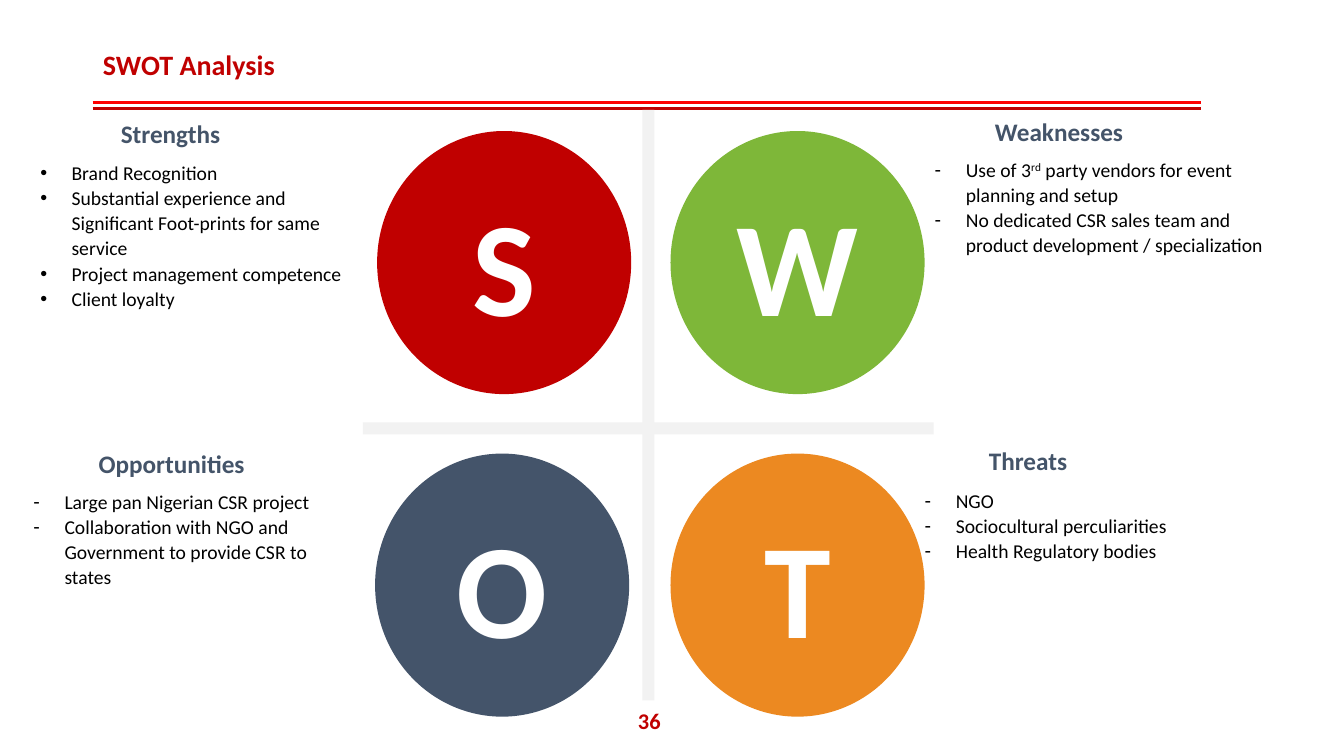
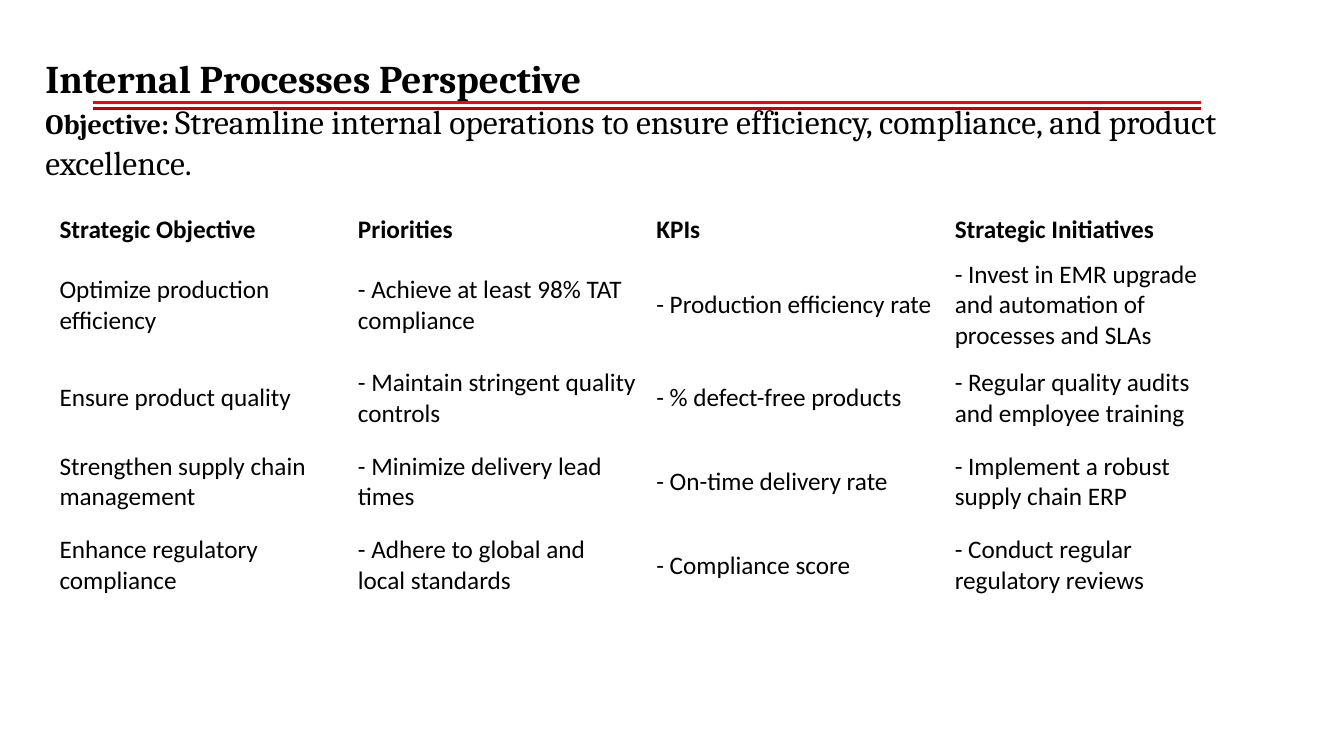
"""Build a SWOT slide and an internal processes slide."""
import pptx
import pptx.util
import pptx.dml.color
import pptx.enum.shapes
import pptx.enum.text
import pptx.oxml.ns
from lxml import etree

Inches, Pt = pptx.util.Inches, pptx.util.Pt
ANCHOR = pptx.enum.text.MSO_ANCHOR
ALIGN = pptx.enum.text.PP_ALIGN
SHAPE = pptx.enum.shapes.MSO_SHAPE
qn = pptx.oxml.ns.qn

COLORS = {"bright": "FF0000", "red": "C00000", "green": "7EB739", "slate": "44546A",
          "orange": "EC8921", "heading": "445469", "bar": "F2F2F2",
          "black": "000000", "white": "FFFFFF"}
RULES = [(1.02, "bright"), (1.08, "red")]
RULE_LEFT, RULE_RIGHT = 0.92, 11.91

SWOT_TITLE, PAGE_NUMBER = "SWOT Analysis", "36"
CIRCLE_W, CIRCLE_H = 2.52, 2.61
BARS = [(6.37, 1.09, 0.12, 5.86), (3.6, 4.19, 5.66, 0.12)]
QUADRANTS = [
    {"name": "Strengths", "color": "red", "circle": (3.74, 1.3),
     "heading": (1.1, 1.12), "box": (0.3, 1.53, 3.25, 2.18), "bullet": "•",
     "items": ["Brand Recognition",
               "Substantial experience and Significant Foot-prints for same service",
               "Project management competence", "Client loyalty"]},
    {"name": "Weaknesses", "color": "green", "circle": (6.65, 1.3),
     "heading": (9.77, 1.11), "box": (9.17, 1.5, 3.76, 2.28), "bullet": "-",
     "items": [("Use of 3", "rd", " party vendors for event planning and setup"),
               "No dedicated CSR sales team and product development / specialization"]},
    {"name": "Opportunities", "color": "slate", "circle": (3.72, 4.5),
     "heading": (0.88, 4.4), "box": (0.23, 4.79, 3.39, 1.71), "bullet": "-",
     "items": ["Large pan Nigerian CSR project",
               "Collaboration with NGO and Government to provide CSR to states"]},
    {"name": "Threats", "color": "orange", "circle": (6.65, 4.5),
     "heading": (9.71, 4.37), "box": (9.07, 4.78, 4.17, 1.78), "bullet": "-",
     "items": ["NGO", "Sociocultural perculiarities", "Health Regulatory bodies"]},
]

PROCESS_TITLE = "Internal Processes Perspective"
OBJECTIVE = ("Objective: ", "Streamline internal operations to ensure efficiency, "
             "compliance, and product excellence.")
TABLE = [
    ("Strategic Objective", "Priorities", "KPIs", "Strategic Initiatives"),
    ("Optimize production efficiency", "- Achieve at least 98% TAT compliance",
     "- Production efficiency rate",
     "- Invest in EMR upgrade and automation of processes and SLAs"),
    ("Ensure product quality", "- Maintain stringent quality controls",
     "- % defect-free products", "- Regular quality audits and employee training"),
    ("Strengthen supply chain management", "- Minimize delivery lead times",
     "- On-time delivery rate", "- Implement a robust supply chain ERP"),
    ("Enhance regulatory compliance", "- Adhere to global and local standards",
     "- Compliance score", "- Conduct regular regulatory reviews"),
]
HEADER_H, ROW_H, COL_W = 0.47, 0.83, 2.96


def rgb(name):
    return pptx.dml.color.RGBColor.from_string(COLORS[name])


def style(r, size, color="black", bold=False, font="Calibri"):
    r.font.size, r.font.bold, r.font.name = Pt(size), bold, font
    r.font.color.rgb = rgb(color)


def add_run(p, text, size, **look):
    r = p.add_run()
    r.text = text
    style(r, size, **look)
    return r


def place(sp, left, top, width, height):
    sp.left, sp.top = Inches(left), Inches(top)
    sp.width, sp.height = Inches(width), Inches(height)


def prepare(sp, anchor):
    tf = sp.text_frame
    tf.word_wrap = True
    tf.auto_size = pptx.enum.text.MSO_AUTO_SIZE.NONE
    tf.vertical_anchor = anchor
    return tf


def add_slide(prs, layout, title_box):
    slide = prs.slides.add_slide(prs.slide_layouts.get_by_name(layout))
    for y, color in RULES:
        rule = slide.shapes.add_connector(
            pptx.enum.shapes.MSO_CONNECTOR.STRAIGHT,
            Inches(RULE_LEFT), Inches(y), Inches(RULE_RIGHT), Inches(y))
        rule.line.color.rgb = rgb(color)
        rule.line.width = Pt(2.25)
        etree.SubElement(rule._element.spPr, qn("a:effectLst"))
    title = slide.shapes.title
    place(title, *title_box)
    tf = prepare(title, ANCHOR.MIDDLE)
    tf.paragraphs[0].alignment = ALIGN.LEFT
    return slide, tf


def add_filled(slide, kind, box, color):
    sp = slide.shapes.add_shape(kind, *map(Inches, box))
    sp.shadow.inherit = False
    sp.fill.solid()
    sp.fill.fore_color.rgb = rgb(color)
    sp.line.fill.background()
    return sp


def add_label(slide, box, text, size, color, anchor=ANCHOR.TOP, align=ALIGN.LEFT):
    tf = prepare(slide.shapes.add_textbox(*map(Inches, box)), anchor)
    p = tf.paragraphs[0]
    p.alignment = align
    add_run(p, text, size, color=color, bold=True)


def add_circle(slide, quadrant):
    box = (*quadrant["circle"], CIRCLE_W, CIRCLE_H)
    tf = prepare(add_filled(slide, SHAPE.OVAL, box, quadrant["color"]), ANCHOR.MIDDLE)
    tf.margin_left = tf.margin_right = tf.margin_top = tf.margin_bottom = 0
    p = tf.paragraphs[0]
    p.alignment = ALIGN.CENTER
    add_run(p, quadrant["name"][0], 96, color="white", bold=True)


def fill_list(sp, quadrant):
    place(sp, *quadrant["box"])
    tf = prepare(sp, ANCHOR.TOP)
    for i, item in enumerate(quadrant["items"]):
        p = tf.add_paragraph() if i else tf.paragraphs[0]
        p.alignment, p.line_spacing = ALIGN.LEFT, 1.07
        p.space_before = p.space_after = Pt(0)
        pPr = p._p.get_or_add_pPr()
        pPr.set("marL", str(Inches(0.31)))
        pPr.set("indent", str(-Inches(0.31)))
        etree.SubElement(pPr, qn("a:buFont")).set("typeface", "Arial")
        etree.SubElement(pPr, qn("a:buChar")).set("char", quadrant["bullet"])
        parts = (item,) if isinstance(item, str) else item
        for j, part in enumerate(parts):
            r = add_run(p, part, 14)
            if j == 1:
                r._r.get_or_add_rPr().set("baseline", "30000")


def build_swot(prs):
    slide, tf = add_slide(prs, "Comparison", (0.92, 0.35, 11, 0.62))
    tf.paragraphs[0].line_spacing = 0.9
    add_run(tf.paragraphs[0], SWOT_TITLE, 20, color="red", bold=True)
    add_label(slide, (6.1, 6.95, 0.68, 0.4), PAGE_NUMBER, 16, "red",
              ANCHOR.MIDDLE, ALIGN.CENTER)
    for bar in BARS:
        add_filled(slide, SHAPE.RECTANGLE, bar, "bar")
    bodies = list(slide.placeholders)[1:]
    for sp, quadrant in zip(bodies, QUADRANTS):
        add_circle(slide, quadrant)
        add_label(slide, (*quadrant["heading"], 2.4, 0.46), quadrant["name"], 18, "heading")
        fill_list(sp, quadrant)


def build_processes(prs):
    slide, tf = add_slide(prs, "Title Only", (0.35, 0.48, 11.85, 1.38))
    add_run(tf.paragraphs[0], PROCESS_TITLE, 28, bold=True, font="Cambria")
    p = tf.add_paragraph()
    p.alignment = ALIGN.LEFT
    add_run(p, OBJECTIVE[0], 20, bold=True, font="Cambria")
    add_run(p, OBJECTIVE[1], 24, font="Cambria")

    rows, cols = len(TABLE), len(TABLE[0])
    height = HEADER_H + ROW_H * (rows - 1)
    table = slide.shapes.add_table(rows, cols, Inches(0.49), Inches(2.05),
                                   Inches(COL_W * cols), Inches(height)).table
    table.first_row = table.horz_banding = False
    table._tbl.tblPr.find(qn("a:tableStyleId")).text = "{2D5ABB26-0587-4C30-8999-92F81FD0307C}"
    for i, texts in enumerate(TABLE):
        table.rows[i].height = Inches(ROW_H if i else HEADER_H)
        for j, text in enumerate(texts):
            cell = table.cell(i, j)
            cell.fill.background()
            cell.vertical_anchor = ANCHOR.MIDDLE
            cell.text_frame.text = text
            style(cell.text_frame.paragraphs[0].runs[0], 18, bold=i == 0)


def main():
    prs = pptx.Presentation()
    prs.slide_width, prs.slide_height = Inches(13.33), Inches(7.5)
    build_swot(prs)
    build_processes(prs)
    prs.save("out.pptx")


if __name__ == "__main__":
    main()
